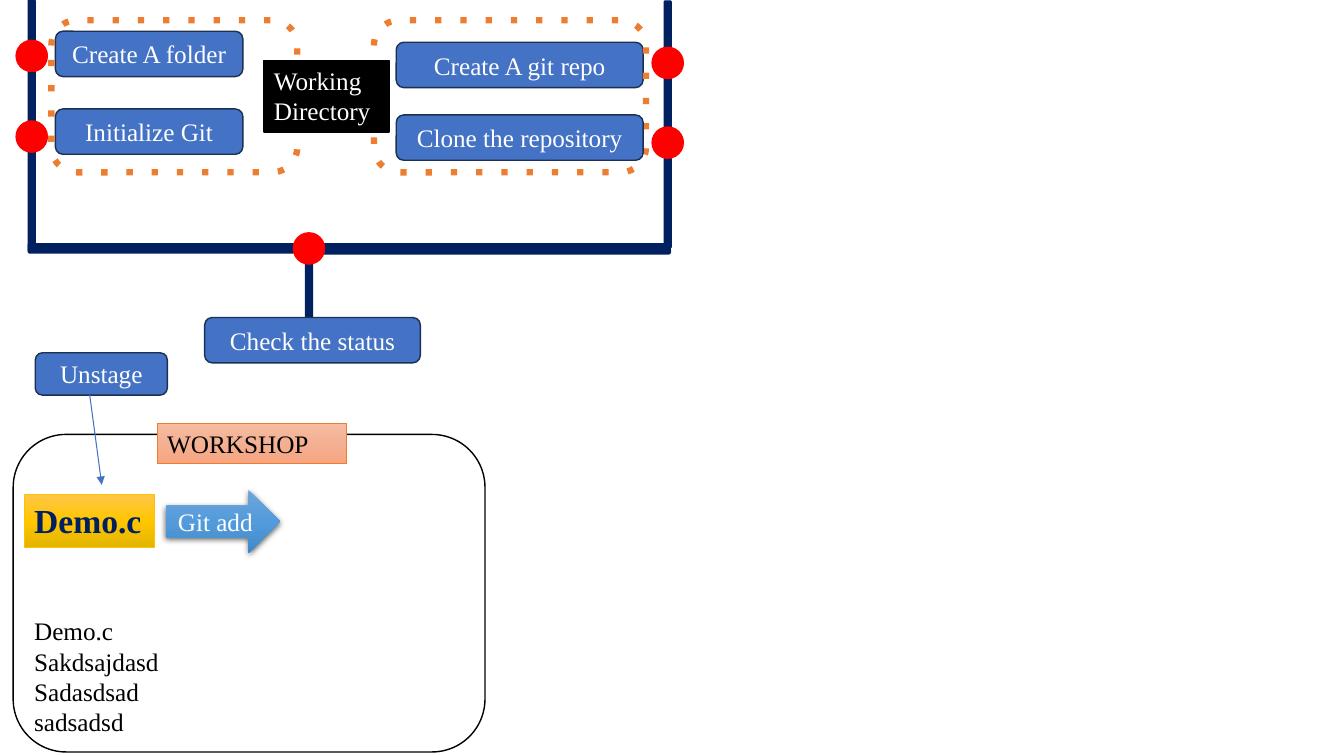
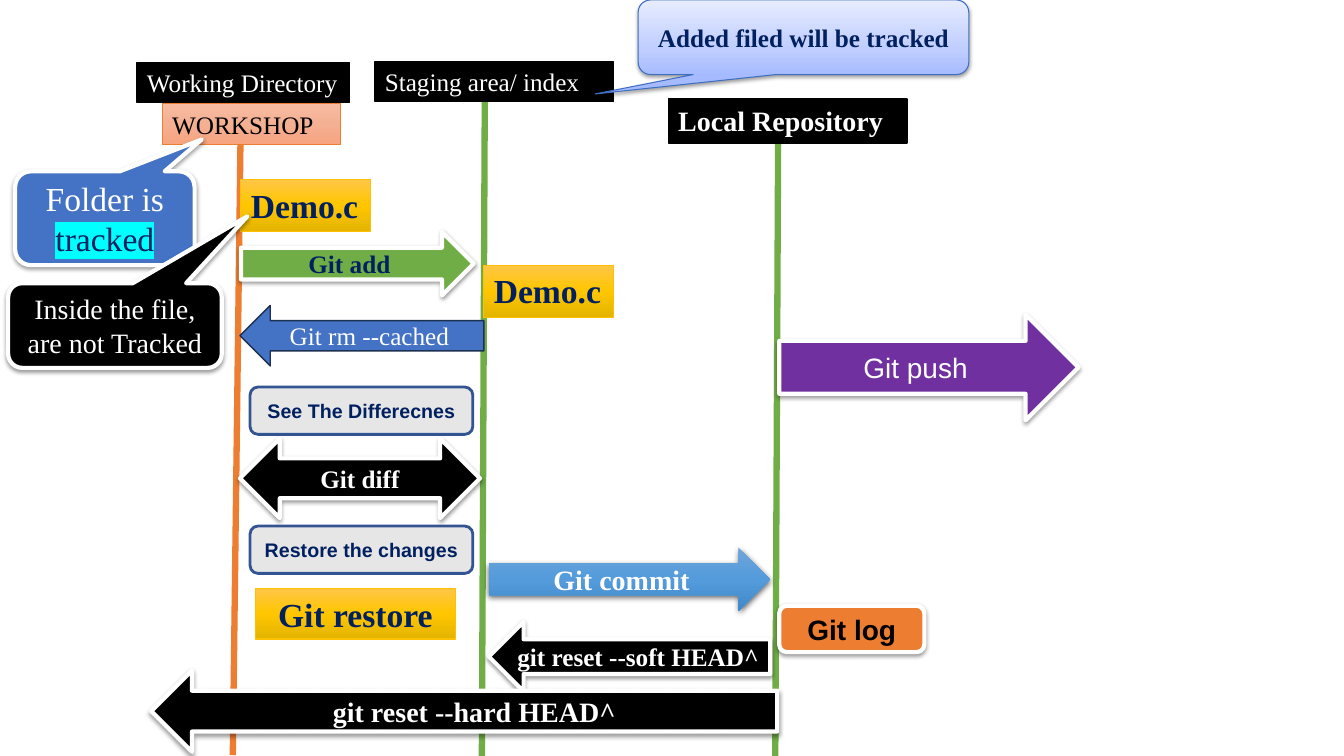
"""Build two slides on the Git workflow: starting a repository, then moving changes."""
import pptx
import pptx.dml.color
import pptx.enum.dml
import pptx.enum.shapes
import pptx.enum.text
import pptx.oxml.ns
import pptx.util
from lxml import etree

Pt = pptx.util.Pt
qn = pptx.oxml.ns.qn
MSO = pptx.enum.shapes.MSO_SHAPE
ALIGN = pptx.enum.text.PP_ALIGN
ANCHOR = pptx.enum.text.MSO_ANCHOR

COLORS = {
    "white": "FFFFFF", "black": "000000", "navy": "002060", "red": "FF0000",
    "blue": "4472C4", "blue_edge": "1C3052", "orange": "ED7D31", "gold": "FFC000",
    "green": "70AD47", "purple": "7030A0", "gray": "E7E6E6", "gray_edge": "325491",
    "lavender_edge": "3F6FC3", "cyan": "00FFFF",
}
GRADIENTS = {
    "peach": (90, [(0, "F7BCA2"), (50, "F4B093"), (100, "F7A47F")]),
    "amber": (90, [(0, "FFC647"), (50, "FFC600"), (100, "E3B400")]),
    "sky": (90, [(0, "70A5DA"), (50, "539BDB"), (100, "4288C8")]),
    "lavender": (270, [(0, "A6BBFF"), (35, "C0CEFF"), (100, "E7ECFF")]),
}
SHADOWS = {"soft": (38, 3.1, 1.6), "strong": (63, 4.5, 1.5)}

BASE = {"shape": MSO.ROUNDED_RECTANGLE, "fill": None, "edge": None, "width": 1,
        "shadow": None, "adj": (), "font": "Times New Roman", "size": 18,
        "bold": False, "color": "white", "align": ALIGN.CENTER,
        "anchor": ANCHOR.MIDDLE, "mark": None}
TAG = {"shape": MSO.RECTANGLE, "align": ALIGN.LEFT, "anchor": ANCHOR.TOP}
OUTLINED = {"edge": "white", "width": 3, "shadow": "soft"}
STYLES = {
    "bar": {"fill": "navy", "edge": "navy"},
    "dot": {"shape": MSO.OVAL, "fill": "red", "edge": "red"},
    "step": {"fill": "blue", "edge": "blue_edge"},
    "zone": {"edge": "orange", "width": 4.5},
    "panel": {"fill": "white", "edge": "black"},
    "area": {**TAG, "fill": "black", "edge": "black"},
    "folder": {**TAG, "fill": "peach", "edge": "orange", "width": 0.75, "color": "black"},
    "file": {**TAG, "fill": "amber", "edge": "gold", "width": 0.75,
             "size": 24, "bold": True, "color": "navy"},
    "sky_arrow": {"shape": MSO.RIGHT_ARROW, "fill": "sky", "shadow": "strong"},
    "note": {"fill": "gray", "edge": "gray_edge", "width": 2, "font": "Arial",
             "size": 14, "bold": True, "color": "navy"},
    "callout": {**OUTLINED, "shape": MSO.ROUNDED_RECTANGULAR_CALLOUT},
    "command": {**OUTLINED, "fill": "black", "bold": True},
}

BARS = [
    (218.2, 183.6, 5, 43.2), (474.5, 113, 5, 64), (228.2, 174.2, 250.6, 7.2),
    (20.2, 104.4, 5, 75), (20.2, 49, 5, 44), (20.2, 0, 5, 39.6),
    (474.5, 53.3, 5, 44), (474.5, 0.7, 5, 44), (20.2, 174.2, 195, 6.5),
]
DOT = 22.3
DOTS = [(11.5, 28.8), (11.5, 86.4), (465.8, 33.8), (465.8, 90.7), (209.5, 166.3)]

START = [
    ("step", "Create A folder", (39.6, 22.3, 133.9, 32.4), {}),
    ("step", "Initialize Git", (39.6, 77.8, 133.9, 32.4), {}),
    ("zone", "", (36.7, 14.4, 175.7, 108.7), {}),
    ("step", "Create A git repo", (283, 30.2, 176.4, 32.4), {}),
    ("zone", "", (267.1, 14.4, 194.4, 108.7), {}),
    ("step", "Clone the repository", (283, 82.1, 176.4, 32.4), {}),
    ("area", "Working Directory", (188.6, 43.2, 89.3, 51.1), {}),
    ("step", "Check the status", (146.2, 226.8, 154.1, 32.4), {}),
    ("panel", "", (9.4, 310.3, 337, 226.8), {}),
    ("folder", "WORKSHOP", (112.3, 302.4, 135.4, 28.8), {}),
    ("file", "Demo.c", (17.3, 353.5, 92.9, 37.4), {}),
    ("sky_arrow", "Git add", (118.8, 349.9, 81.4, 45.4), {}),
    ("step", "Unstage", (25.2, 252, 94.3, 30.2), {}),
]
FILE_LINES = ["Demo.c", "Sakdsajdasd", "Sadasdsad", "sadsadsd"]
FILE_BOX = (17.3, 436.3, 123.1, 94.3)
UNSTAGE_ARROW = (64.1, 282.2, 72.7, 346.3)

LIFELINES = [
    ("orange", (172.1, 75.6, 166.3, 539.3)),
    ("green", (346.3, 69.8, 344.2, 540)),
    ("green", (555.8, 103, 553.8, 540)),
]
FLOW = [
    ("area", "Working Directory", (97.9, 44.6, 151.9, 28.8), {}),
    ("folder", "WORKSHOP", (115.9, 74.2, 127.4, 28.8), {}),
    ("callout", "Folder is tracked", (10.8, 122.4, 128.2, 67),
     {"fill": "blue", "size": 24, "adj": (0.54, -0.84), "mark": "tracked"}),
    ("file", "Demo.c", (172.1, 128.2, 92.9, 37.4), {}),
    ("callout", "Inside the file, are not Tracked", (5.8, 202.3, 152.6, 60.5),
     {"fill": "black", "size": 20, "adj": (0.62, -1.29)}),
    ("command", "Git add", (172.1, 165.6, 166.3, 45.4),
     {"shape": MSO.RIGHT_ARROW, "fill": "green", "color": "navy"}),
    ("area", "Staging area/ index", (267.8, 43.9, 170.6, 28.8), {}),
    ("file", "Demo.c", (345.6, 189.4, 92.9, 37.4), {}),
    ("step", "Git rm --cached", (171.4, 218.2, 174.2, 43.2), {"shape": MSO.LEFT_ARROW}),
    ("command", "Git diff", (171.4, 313.2, 171.4, 56.9), {"shape": MSO.LEFT_RIGHT_ARROW}),
    ("note", "See The Differecnes", (178.6, 276.5, 159.1, 33.8), {}),
    ("note", "Restore the changes", (178.6, 375.8, 159.1, 33.8), {}),
    ("file", "Git restore", (182.2, 420.5, 143.3, 36), {"align": ALIGN.CENTER}),
    ("callout", "Added filed will be tracked", (455.8, 0, 236.2, 53.3),
     {"fill": "lavender", "edge": "lavender_edge", "width": 0.75, "bold": True,
      "color": "navy", "adj": (-0.63, 0.76)}),
    ("sky_arrow", "Git commit", (349.2, 391, 200.9, 45.4), {"size": 20, "bold": True}),
    ("area", "Local Repository", (477.4, 70.6, 170.6, 31.7), {"size": 20, "bold": True}),
    ("command", "git reset --soft HEAD^", (349.2, 444.2, 200.9, 49.7),
     {"shape": MSO.LEFT_ARROW}),
    ("command", "Git log", (556.6, 432.7, 103.7, 33.1),
     {"fill": "orange", "font": "Arial", "size": 20, "color": "black"}),
    ("command", "git reset --hard HEAD^", (108, 478.8, 447.1, 58.3),
     {"shape": MSO.LEFT_ARROW, "size": 20}),
    ("command", "Git push", (556.6, 224.6, 213.8, 75.6),
     {"shape": MSO.RIGHT_ARROW, "fill": "purple", "font": "Arial", "size": 20,
      "bold": False}),
]


def rgb(name):
    """Return the named colour."""
    return pptx.dml.color.RGBColor.from_string(COLORS[name])


def add_color(parent, value):
    """Append an sRGB colour element."""
    return etree.SubElement(parent, qn("a:srgbClr"), val=value)


def paint(sp, fill):
    """Give a shape a solid colour, a gradient or no fill."""
    if fill is None:
        sp.fill.background()
    elif fill in GRADIENTS:
        angle, stops = GRADIENTS[fill]
        sp.fill.gradient()
        sp.fill.gradient_angle = 360 - angle
        stop_list = sp._element.spPr.find(qn("a:gradFill")).find(qn("a:gsLst"))
        for old in list(stop_list):
            stop_list.remove(old)
        for position, value in stops:
            stop = etree.SubElement(stop_list, qn("a:gs"), pos=str(position * 1000))
            add_color(stop, value)
    else:
        sp.fill.solid()
        sp.fill.fore_color.rgb = rgb(fill)


def cast_shadow(sp, name):
    """Drop the named shadow straight down."""
    alpha, blur, dist = SHADOWS[name]
    effects = sp._element.spPr.find(qn("a:effectLst"))
    shadow = etree.SubElement(effects, qn("a:outerShdw"), blurRad=str(Pt(blur)),
                              dist=str(Pt(dist)), dir="5400000", rotWithShape="0")
    etree.SubElement(add_color(shadow, COLORS["black"]), qn("a:alpha"), val=str(alpha * 1000))


def format_paragraph(p, style):
    """Apply a style's text settings to a paragraph."""
    p.alignment = style["align"]
    p.font.name = style["font"]
    p.font.size = Pt(style["size"])
    p.font.bold = style["bold"]
    p.font.color.rgb = rgb(style["color"])


def mark_word(p, word):
    """Split off the closing word of a paragraph and highlight it."""
    r = p.runs[0]
    r.text = r.text.removesuffix(word)
    marked = p.add_run()
    marked.text = word
    marked.font.color.rgb = rgb("navy")
    highlight = etree.Element(qn("a:highlight"))
    add_color(highlight, COLORS["cyan"])
    marked.font._element.find(qn("a:solidFill")).addnext(highlight)


def add_item(slide, kind, text, box, changes):
    """Add one styled shape with its text."""
    style = {**BASE, **STYLES[kind], **changes}
    sp = slide.shapes.add_shape(style["shape"], *map(Pt, box))
    for i, value in enumerate(style["adj"]):
        sp.adjustments[i] = value
    paint(sp, style["fill"])
    if style["edge"]:
        sp.line.color.rgb = rgb(style["edge"])
        sp.line.width = Pt(style["width"])
    else:
        sp.line.fill.background()
    if kind == "zone":
        sp.line.dash_style = pptx.enum.dml.MSO_LINE.ROUND_DOT
        sp._element.spPr.find(qn("a:ln")).find(qn("a:prstDash")).set("val", "dot")
    sp.shadow.inherit = False
    if style["shadow"]:
        cast_shadow(sp, style["shadow"])
    if text:
        tf = sp.text_frame
        tf.word_wrap = True
        tf.vertical_anchor = style["anchor"]
        tf.text = text
        format_paragraph(tf.paragraphs[0], style)
        if style["mark"]:
            mark_word(tf.paragraphs[0], style["mark"])


def add_line(slide, ends, color, width, arrow=False):
    """Add a straight line, with an arrowhead at its end if asked."""
    line = slide.shapes.add_connector(pptx.enum.shapes.MSO_CONNECTOR.STRAIGHT, *map(Pt, ends))
    line.line.color.rgb = rgb(color)
    line.line.width = Pt(width)
    spPr = line._element.spPr
    if arrow:
        etree.SubElement(spPr.find(qn("a:ln")), qn("a:tailEnd"), type="triangle")
    etree.SubElement(spPr, qn("a:effectLst"))


def build_start(slide):
    """Draw the ways to start a repository and the workshop folder."""
    for box in BARS:
        add_item(slide, "bar", "", box, {})
    for x, y in DOTS:
        add_item(slide, "dot", "", (x, y, DOT, DOT), {})
    for item in START:
        add_item(slide, *item)
    tf = slide.shapes.add_textbox(*map(Pt, FILE_BOX)).text_frame
    tf.word_wrap = True
    tf.text = "\n".join(FILE_LINES)
    for p in tf.paragraphs:
        format_paragraph(p, {**BASE, "color": "black", "align": ALIGN.LEFT})
    add_line(slide, UNSTAGE_ARROW, "blue", 0.75, arrow=True)


def build_flow(slide):
    """Draw the three areas and the commands that move changes between them."""
    for color, ends in LIFELINES:
        add_line(slide, ends, color, 4.5)
    for item in FLOW:
        add_item(slide, *item)


def main():
    """Build and save the presentation."""
    prs = pptx.Presentation()
    prs.slide_width, prs.slide_height = Pt(960), Pt(540)
    for build in (build_start, build_flow):
        build(prs.slides.add_slide(prs.slide_layouts[6]))
    prs.save("out.pptx")


if __name__ == "__main__":
    main()
